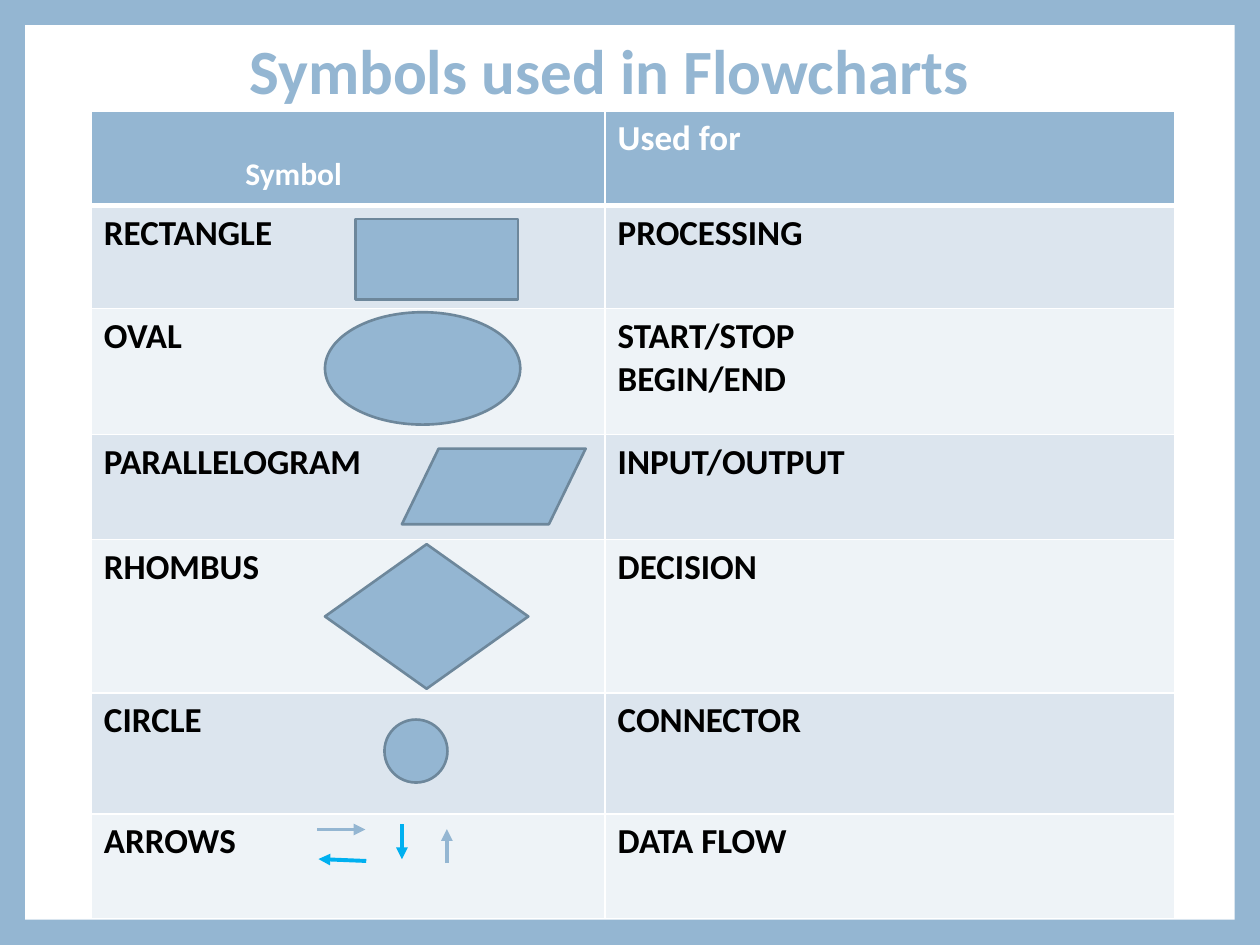
import pptx
import pptx.util
import pptx.dml.color
import pptx.enum.shapes
import pptx.enum.text
import pptx.oxml.ns
import lxml.etree

Pt = pptx.util.Pt
RGBColor = pptx.dml.color.RGBColor
SHAPE = pptx.enum.shapes.MSO_SHAPE
qn = pptx.oxml.ns.qn

BLUE = RGBColor(0x94, 0xB6, 0xD2)
OUTLINE = RGBColor(0x6D, 0x87, 0x9B)
CYAN = RGBColor(0x00, 0xB0, 0xF0)
WHITE = RGBColor(0xFF, 0xFF, 0xFF)
BLACK = RGBColor(0x00, 0x00, 0x00)
BANDS = (RGBColor(0xEE, 0xF3, 0xF7), RGBColor(0xDC, 0xE5, 0xEE))
FONT = "Calibri"

# Content: symbol, use, row height
TITLE = "Symbols used in Flowcharts"
ROWS = [
    ("Symbol", "Used for", 54),
    ("RECTANGLE", "PROCESSING", 59),
    ("OVAL", "START/STOP\nBEGIN/END", 72),
    ("PARALLELOGRAM", "INPUT/OUTPUT", 59.8),
    ("RHOMBUS", "DECISION", 87.8),
    ("CIRCLE", "CONNECTOR", 69.1),
    ("ARROWS", "DATA FLOW", 59.8),
]
COLUMN_WIDTHS = (293.6, 325.4)
TABLE_LEFT, TABLE_TOP = 52.2, 63.4

# Symbols: preset, left, top, width, height
SYMBOLS = [
    (SHAPE.RECTANGLE, 203.2, 125.2, 92.8, 46),
    (SHAPE.OVAL, 185.7, 178.4, 111.6, 64.2),
    (SHAPE.FLOWCHART_DATA, 229.7, 256.4, 105, 43.2),
    (SHAPE.FLOWCHART_DECISION, 185.7, 311, 116.2, 82.6),
    (SHAPE.FLOWCHART_CONNECTOR, 219.7, 411.2, 36, 36),
]
# Arrows: start x, start y, end x, end y, colour
ARROWS = [
    (181.2, 474, 208.8, 474, BLUE),
    (209.3, 492, 182, 490.9, CYAN),
    (229.7, 470.9, 229.7, 491, CYAN),
    (255.4, 493.2, 255.4, 473.8, BLUE),
]


def style_text(paragraph, size, color):
    for run in paragraph.runs:
        run.font.name = FONT
        run.font.size = Pt(size)
        run.font.bold = True
        run.font.color.rgb = color


def set_borders(cell, top, bottom):
    properties = cell._tc.get_or_add_tcPr()
    widths = (("a:lnL", 1), ("a:lnR", 1), ("a:lnT", top), ("a:lnB", bottom))
    for position, (tag, width) in enumerate(widths):
        line = lxml.etree.Element(qn(tag), w=str(Pt(width)))
        fill = lxml.etree.SubElement(line, qn("a:solidFill"))
        lxml.etree.SubElement(fill, qn("a:srgbClr"), val=str(WHITE))
        properties.insert(position, line)


def add_panel(shapes, preset, bounds):
    panel = shapes.add_shape(preset, *map(Pt, bounds))
    panel.shadow.inherit = False
    panel.fill.solid()
    return panel


def add_table(shapes):
    table = shapes.add_table(
        len(ROWS), len(COLUMN_WIDTHS), Pt(TABLE_LEFT), Pt(TABLE_TOP),
        Pt(sum(COLUMN_WIDTHS)), Pt(sum(row[2] for row in ROWS))).table
    for column, width in zip(table.columns, COLUMN_WIDTHS):
        column.width = Pt(width)
    for r, (symbol, use, height) in enumerate(ROWS):
        table.rows[r].height = Pt(height)
        for c, text in enumerate((symbol, use)):
            cell = table.cell(r, c)
            cell.text_frame.text = text
            for paragraph in cell.text_frame.paragraphs:
                style_text(paragraph, 18 if (r, c) == (0, 0) else 20,
                           BLACK if r else WHITE)
            cell.fill.solid()
            cell.fill.fore_color.rgb = BANDS[r % 2] if r else BLUE
            set_borders(cell, 3 if r == 1 else 1, 3 if r == 0 else 1)
    # The first heading sits low and towards the middle of its cell
    heading = table.cell(0, 0)
    heading.margin_left, heading.margin_top = Pt(88), Pt(25.6)


def add_arrow(shapes, start_x, start_y, end_x, end_y, color):
    arrow = shapes.add_connector(
        pptx.enum.shapes.MSO_CONNECTOR.STRAIGHT,
        Pt(start_x), Pt(start_y), Pt(end_x), Pt(end_y))
    arrow.line.color.rgb = color
    arrow.line.width = Pt(2.25)
    lxml.etree.SubElement(arrow.line._get_or_add_ln(), qn("a:tailEnd"), type="triangle")
    lxml.etree.SubElement(arrow._element.spPr, qn("a:effectLst"))


def main():
    deck = pptx.Presentation()
    deck.slide_width, deck.slide_height = Pt(720), Pt(540)
    slide = deck.slides.add_slide(deck.slide_layouts[6])
    shapes = slide.shapes

    # Blue frame around a white page
    slide.background.fill.solid()
    slide.background.fill.fore_color.rgb = BLUE
    page = add_panel(shapes, SHAPE.RECTANGLE, (14.4, 14.4, 691.2, 511.2))
    page.fill.fore_color.rgb = WHITE
    page.line.fill.background()

    # Title
    title = shapes.add_textbox(Pt(135.4), Pt(0), Pt(584.6), Pt(84.2)).text_frame
    title.word_wrap = True
    title.vertical_anchor = pptx.enum.text.MSO_ANCHOR.MIDDLE
    title.text = TITLE
    title.paragraphs[0].line_spacing = 0.9
    style_text(title.paragraphs[0], 36, BLUE)

    # Table with the symbols and arrows on top
    add_table(shapes)
    for preset, *bounds in SYMBOLS:
        symbol = add_panel(shapes, preset, bounds)
        symbol.fill.fore_color.rgb = BLUE
        symbol.line.color.rgb = OUTLINE
        symbol.line.width = Pt(1.5)
    for arrow in ARROWS:
        add_arrow(shapes, *arrow)

    deck.save("out.pptx")


if __name__ == "__main__":
    main()
